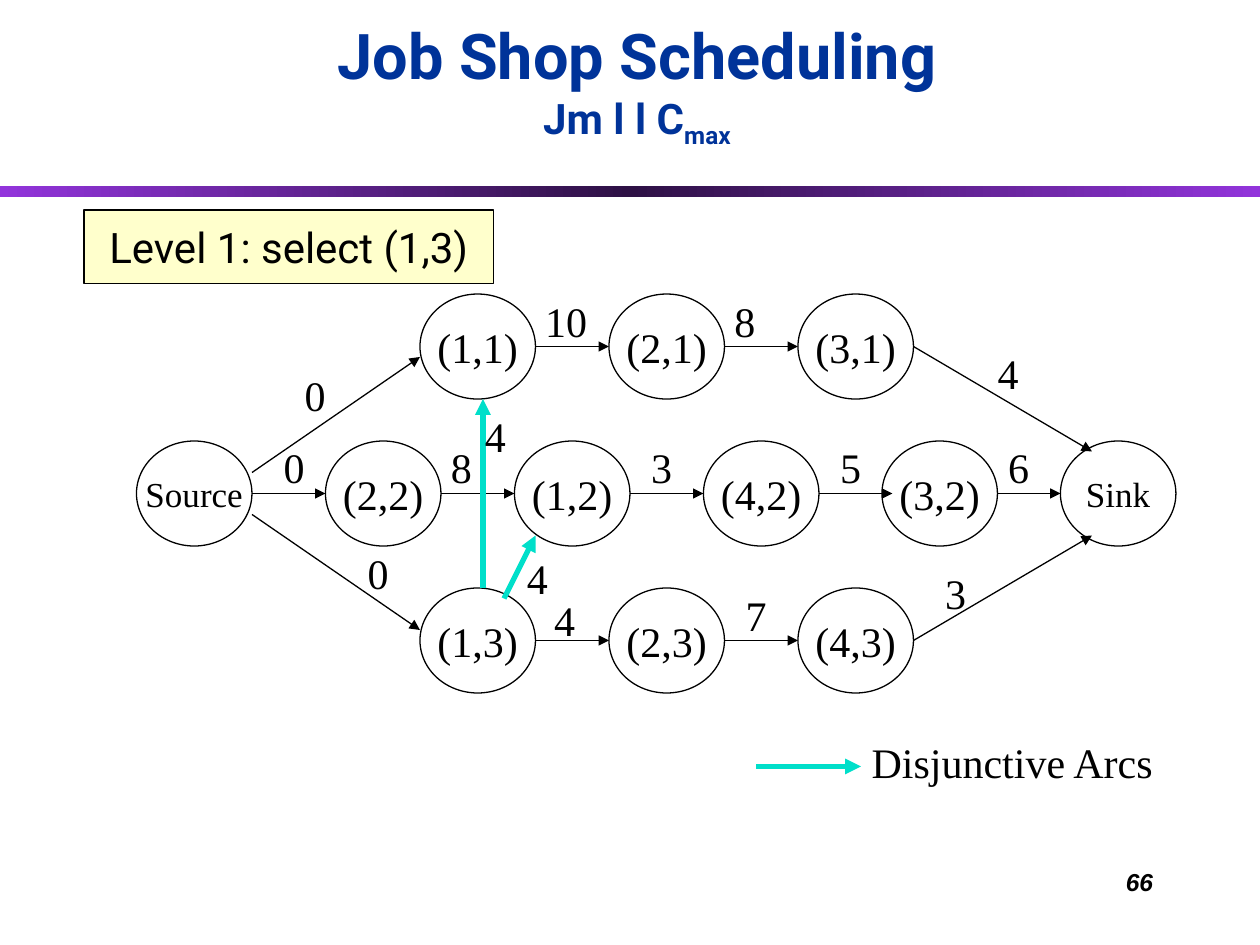
"""Build the job shop scheduling slide with its disjunctive graph."""
from copy import deepcopy
from lxml.etree import SubElement
from pptx import Presentation
from pptx.dml.color import RGBColor
from pptx.enum.shapes import MSO_CONNECTOR, MSO_SHAPE
from pptx.enum.text import MSO_ANCHOR, MSO_AUTO_SIZE, PP_ALIGN
from pptx.oxml.ns import qn
from pptx.util import Pt

HUES = {"ink": "000000", "title": "003399", "note": "FFFFCC",
        "arc": "00DFCA", "edge": "9234DB", "core": "2E1145"}
HUES = {name: RGBColor.from_string(code) for name, code in HUES.items()}
SERIF = "Times New Roman"

deck = Presentation()
deck.slide_width, deck.slide_height = Pt(720), Pt(540)
slide = deck.slides.add_slide(deck.slide_layouts[5])
shapes = slide.shapes


def write(shape, text, size, face=SERIF, align=PP_ALIGN.CENTER, wrap=False):
    frame = shape.text_frame
    frame.text = text
    frame.word_wrap = wrap
    para = frame.paragraphs[0]
    para.alignment = align
    font = para.runs[0].font
    font.size, font.name = Pt(size), face
    font.color.rgb = HUES["ink"]
    return font


def arrow(start, end, hue="ink", width=0.75):
    line = shapes.add_connector(MSO_CONNECTOR.STRAIGHT, *map(Pt, start + end))
    line.line.color.rgb = HUES[hue]
    line.line.width = Pt(width)
    props = line._element.spPr
    SubElement(props.find(qn("a:ln")), qn("a:tailEnd"), type="triangle")
    SubElement(props, qn("a:effectLst"))


title = shapes.title
title.left, title.top, title.width, title.height = map(Pt, (18, 12, 692, 77))
frame = title.text_frame
frame.text = "Job Shop Scheduling"
frame.auto_size = MSO_AUTO_SIZE.NONE
frame.vertical_anchor = MSO_ANCHOR.BOTTOM
formula = frame.add_paragraph()
formula.text = "Jm l l C"
formula.add_run().text = "max"
for para, size in zip(frame.paragraphs, (36, 24)):
    para.alignment = PP_ALIGN.CENTER
    for run in para.runs:
        run.font.size, run.font.name, run.font.bold = Pt(size), "Roboto", True
        run.font.color.rgb = HUES["title"]
formula.runs[1].font._element.set("baseline", "-25000")

bar = shapes.add_shape(MSO_SHAPE.RECTANGLE, 0, Pt(106.5), Pt(720), Pt(6))
bar.shadow.inherit = False
bar.line.fill.background()
bar.fill.gradient()
bar.fill.gradient_angle = 0
stops = bar._element.spPr.find(qn("a:gradFill")).find(qn("a:gsLst"))
stops.insert(1, deepcopy(stops[0]))
for stop, hue, place in zip(bar.fill.gradient_stops, ("edge", "core", "edge"), (0, 0.5, 1)):
    stop.color.rgb = HUES[hue]
    stop.position = place

note = shapes.add_shape(MSO_SHAPE.RECTANGLE, Pt(48), Pt(120), Pt(234), Pt(42))
note.shadow.inherit = False
note.fill.solid()
note.fill.fore_color.rgb = HUES["note"]
note.line.color.rgb = HUES["ink"]
note.line.width = Pt(0.75)
write(note, "Level 1: select (1,3)", 24, "Roboto", wrap=True)

WIDE, HIGH = 66, 60
rows = [
    (198, [("(1,1)", 240), ("(2,1)", 348), ("(3,1)", 456)]),
    (282, [("Source", 78), ("(2,2)", 186), ("(1,2)", 294),
           ("(4,2)", 402), ("(3,2)", 504), ("Sink", 606)]),
    (366, [("(1,3)", 240), ("(2,3)", 348), ("(4,3)", 456)]),
]
for mid, nodes in rows:
    for name, left in nodes:
        node = shapes.add_shape(MSO_SHAPE.OVAL, Pt(left), Pt(mid - HIGH / 2), Pt(WIDE), Pt(HIGH))
        node.shadow.inherit = False
        node.fill.background()
        node.line.color.rgb = HUES["ink"]
        node.line.width = Pt(0.75)
        write(node, name, 24 if name.startswith("(") else 20)
    for (_, left), (name, right) in zip(nodes, nodes[1:]):
        tip = right + 6 if name == "(3,2)" else right
        arrow((left + WIDE, mid), (tip, mid))

for start, end in [((144, 270), (240, 204)), ((144, 294), (240, 360)),
                   ((522, 198), (624, 258)), ((522, 366), (624, 306))]:
    arrow(start, end)
for start, end in [((276, 336), (276, 228)), ((288, 342), (306, 306)),
                   ((432, 438), (492, 438))]:
    arrow(start, end, "arc", 3)

labels = [
    ("0", 167, 207.5), ("10", 304.5, 165.5), ("8", 412.5, 165.5), ("4", 563, 195),
    ("0", 155, 249), ("8", 250.5, 249), ("3", 365, 249), ("5", 473, 249), ("6", 569, 249),
    ("0", 203, 309.5), ("4", 309.5, 336), ("7", 419, 333.5), ("3", 533, 321),
    ("4", 294, 312), ("4", 270, 231), ("Disjunctive Arcs", 491, 417.5),
]
for text, left, top in labels:
    width = {1: 26.5, 2: 38.5}.get(len(text), 176.5)
    label = shapes.add_textbox(Pt(left), Pt(top), Pt(width), Pt(36))
    write(label, text, 24, align=PP_ALIGN.LEFT)

folio = shapes.add_textbox(Pt(516), Pt(492), Pt(150), Pt(36))
font = write(folio, "66", 14, "Arial", PP_ALIGN.RIGHT, True)
font.bold = font.italic = True

deck.save("out.pptx")
